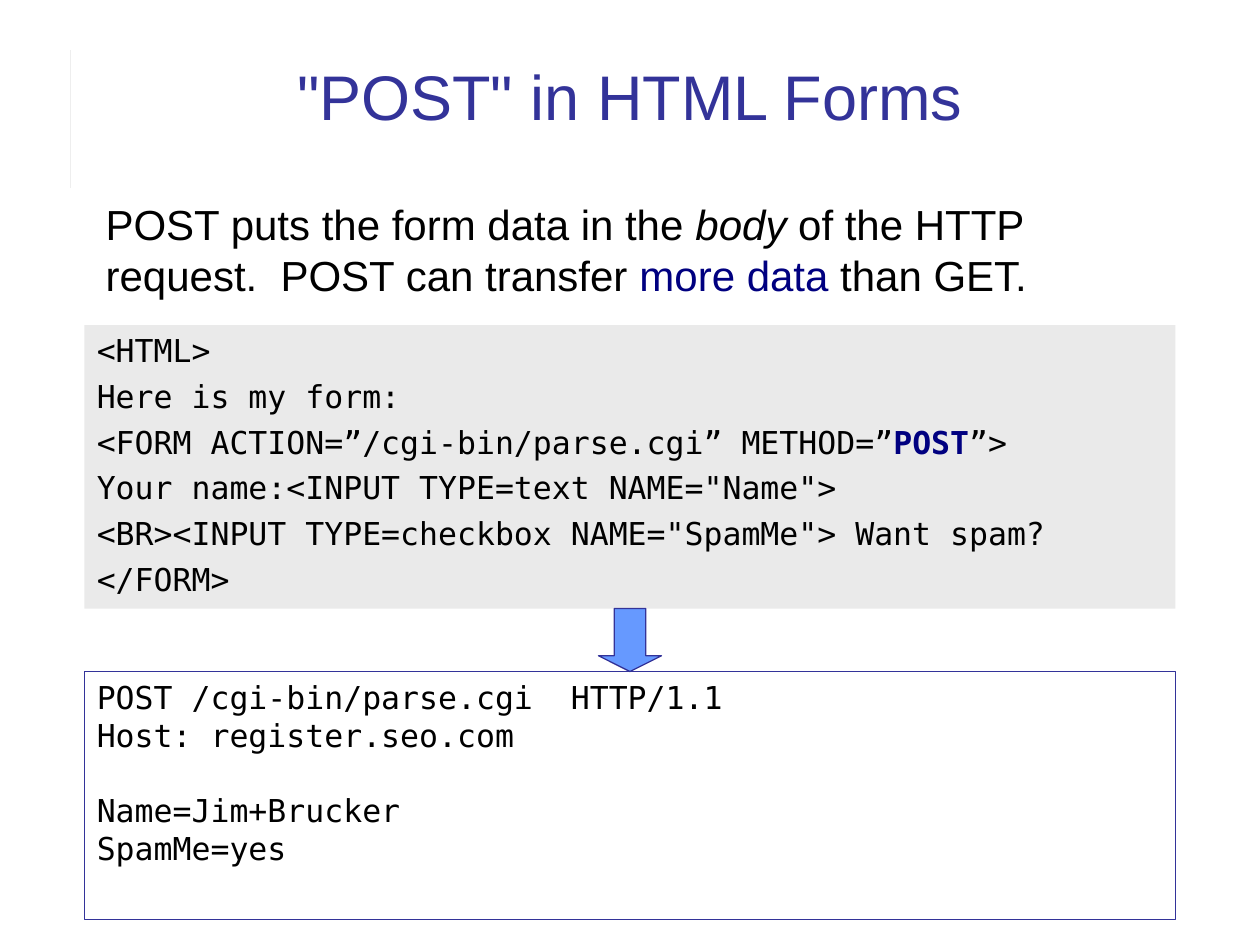
from pptx import Presentation
from pptx.dml.color import RGBColor
from pptx.enum.shapes import MSO_CONNECTOR, MSO_SHAPE
from pptx.enum.text import MSO_ANCHOR, PP_ALIGN
from pptx.oxml.ns import qn
from pptx.util import Inches, Pt
from lxml import etree

INDIGO = RGBColor(0x33, 0x33, 0x99)
NAVY = RGBColor(0x00, 0x00, 0x80)
BLACK = RGBColor(0x00, 0x00, 0x00)
CODE_GREY = RGBColor(0xEA, 0xEA, 0xEA)
RULE_GREY = RGBColor(0xEE, 0xEE, 0xEE)
ARROW_BLUE = RGBColor(0x66, 0x99, 0xFF)

TITLE_FONT = {"name": "Arial", "size": Pt(36), "bold": False}
INTRO_FONT = {"name": "Arial", "size": Pt(24)}
CODE_FONT = {"name": "DejaVu Sans Mono", "size": Pt(18)}

LEFT, WIDTH = Inches(0.67), Inches(8.66)
FORM_TOP, FORM_HEIGHT = Inches(2.58), Inches(2.25)
ARROW_SIZE = Inches(0.5)

TITLE = '"POST" in HTML Forms'
INTRO = [
    ("POST puts the form data in the ", {}),
    ("body", {"italic": True}),
    (" of the HTTP request.  POST can transfer ", {}),
    ("more data", {"color": NAVY}),
    (" than GET.", {}),
]
FORM_CODE = [
    [("<HTML>", {})],
    [("Here is my form:", {})],
    [("<FORM ACTION=”/cgi-bin/parse.cgi” METHOD=”", {}),
     ("POST", {"color": NAVY, "bold": True}),
     ("”>", {})],
    [('Your name:<INPUT TYPE=text NAME="Name">', {})],
    [('<BR><INPUT TYPE=checkbox NAME="SpamMe"> Want spam?', {})],
    [("</FORM>", {})],
]
REQUEST_HEADERS = ["POST /cgi-bin/parse.cgi  HTTP/1.1", "Host: register.seo.com"]
REQUEST_BODY = ["Name=Jim+Brucker", "SpamMe=yes"]


def format_font(font, color=BLACK, **values):
    font.color.rgb = color
    for attribute, value in values.items():
        setattr(font, attribute, value)


def write_paragraphs(frame, paragraphs, base_font, gap=0):
    """Fill frame with lists of (text, format) runs, gap points apart."""
    frame.word_wrap = True
    frame.vertical_anchor = MSO_ANCHOR.TOP
    for index, runs in enumerate(paragraphs):
        paragraph = frame.add_paragraph() if index else frame.paragraphs[0]
        paragraph.alignment = PP_ALIGN.LEFT
        paragraph.space_before = Pt(gap if index else 0)
        for text, emphasis in runs:
            run = paragraph.add_run()
            run.text = text
            format_font(run.font, **{**base_font, **emphasis})


def add_panel(slide, kind, box, fill=None, outline=None):
    panel = slide.shapes.add_shape(kind, *box)
    panel.shadow.inherit = False
    if fill is None:
        panel.fill.background()
    else:
        panel.fill.solid()
        panel.fill.fore_color.rgb = fill
    if outline is None:
        panel.line.fill.background()
    else:
        panel.line.color.rgb = outline
        panel.line.width = Pt(0.75)
    return panel


def add_title_rule(slide, x, top, height):
    rule = slide.shapes.add_connector(MSO_CONNECTOR.STRAIGHT, x, top, x, top + height)
    rule.line.color.rgb = RULE_GREY
    rule.line.width = Pt(0.5)
    etree.SubElement(rule._element.spPr, qn("a:effectLst"))


def place_title(slide, left, top, width, height):
    title = slide.shapes.title
    title.left, title.top, title.width, title.height = left, top, width, height
    frame = title.text_frame
    frame.text = TITLE
    frame.vertical_anchor = MSO_ANCHOR.MIDDLE
    frame.paragraphs[0].alignment = PP_ALIGN.CENTER
    format_font(frame.paragraphs[0].runs[0].font, INDIGO, **TITLE_FONT)


def add_intro(slide, *box):
    intro = slide.shapes.add_textbox(*box)
    write_paragraphs(intro.text_frame, [INTRO], INTRO_FONT)


def add_form_code(slide, *box):
    panel = add_panel(slide, MSO_SHAPE.RECTANGLE, box, fill=CODE_GREY)
    write_paragraphs(panel.text_frame, FORM_CODE, CODE_FONT, gap=4.5)


def add_request(slide, *box):
    """Show the HTTP request, with one line's gap between headers and body."""
    panel = add_panel(slide, MSO_SHAPE.RECTANGLE, box, outline=INDIGO)
    lines = [[(line, {})] for line in REQUEST_HEADERS + REQUEST_BODY]
    write_paragraphs(panel.text_frame, lines, CODE_FONT)
    panel.text_frame.paragraphs[len(REQUEST_HEADERS)].space_before = Pt(21.6)


def add_submit_arrow(slide, *box):
    arrow = add_panel(slide, MSO_SHAPE.DOWN_ARROW, box, ARROW_BLUE, INDIGO)
    arrow.adjustments[0] = 0.5
    arrow.adjustments[1] = 0.25


def main():
    deck = Presentation()
    deck.slide_width, deck.slide_height = Inches(10), Inches(7.5)
    slide = deck.slides.add_slide(deck.slide_layouts[5])

    arrow_top = FORM_TOP + FORM_HEIGHT
    arrow_left = LEFT + (WIDTH - ARROW_SIZE) // 2
    add_title_rule(slide, Inches(0.56), Inches(0.4), Inches(1.09))
    place_title(slide, LEFT, Inches(0.28), WIDTH, Inches(0.95))
    add_intro(slide, Inches(0.74), Inches(1.53), WIDTH, Inches(1.39))
    add_form_code(slide, LEFT, FORM_TOP, WIDTH, FORM_HEIGHT)
    add_request(slide, LEFT, arrow_top + ARROW_SIZE, WIDTH, Inches(1.97))
    add_submit_arrow(slide, arrow_left, arrow_top, ARROW_SIZE, ARROW_SIZE)
    deck.save("out.pptx")


if __name__ == "__main__":
    main()
